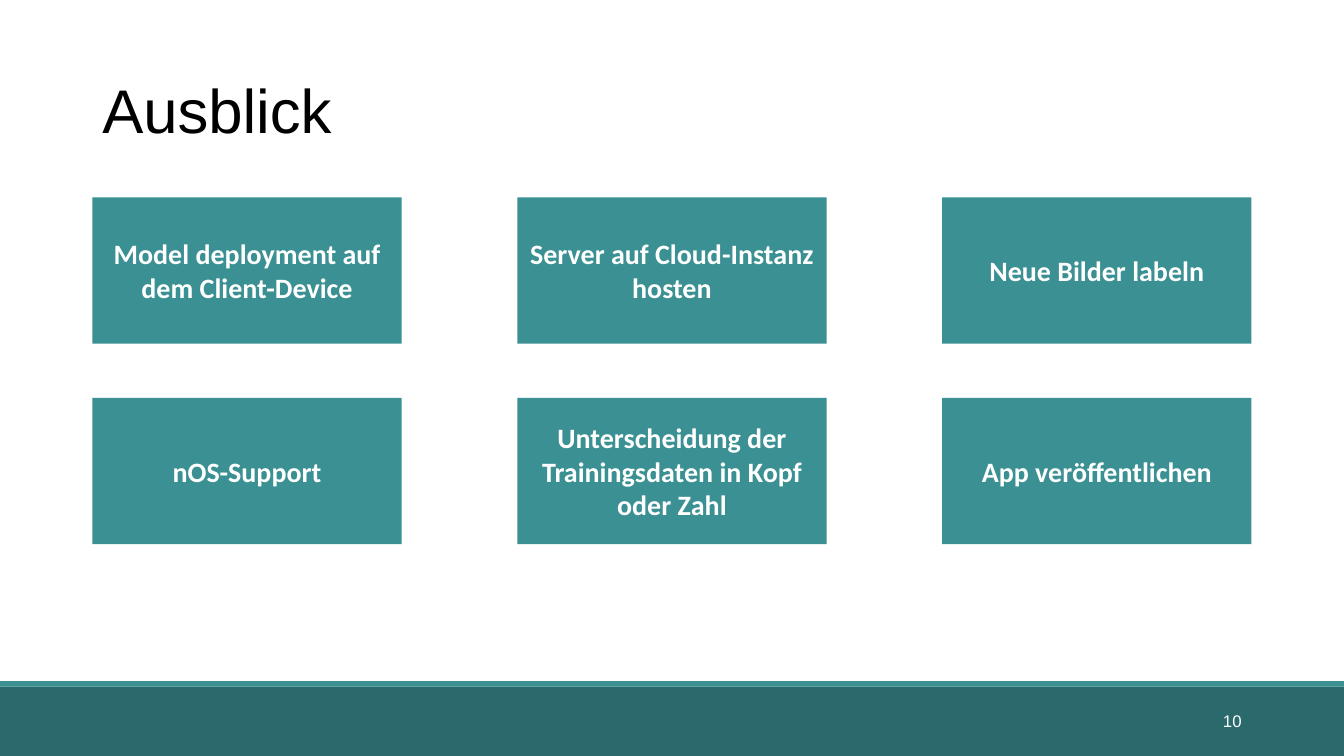
from pptx import Presentation
from pptx.dml.color import RGBColor
from pptx.enum.shapes import MSO_SHAPE
from pptx.enum.text import MSO_ANCHOR, PP_ALIGN
from pptx.util import Pt

WIDTH, HEIGHT = 960, 540
COLORS = {
    "teal": "3A9092",
    "dark_teal": "2B6A6C",
    "white": "FFFFFF",
    "black": "000000",
}


def write_text(shape, text, size, color, font="Arial", bold=False,
               align=PP_ALIGN.LEFT, line_spacing=None):
    frame = shape.text_frame
    frame.word_wrap = True
    frame.vertical_anchor = MSO_ANCHOR.MIDDLE
    paragraph = frame.paragraphs[0]
    paragraph.alignment = align
    if line_spacing:
        paragraph.line_spacing = line_spacing
    run = paragraph.add_run()
    run.text = text
    run.font.name = font
    run.font.size = Pt(size)
    run.font.bold = bold
    run.font.color.rgb = RGBColor.from_string(COLORS[color])


class SlideBuilder:
    """Holds the colours and the slide being built; lengths are in points."""

    def __init__(self, slide, colors):
        self.slide = slide
        self.colors = colors

    def box(self, left, top, width, height, color):
        shape = self.slide.shapes.add_shape(
            MSO_SHAPE.RECTANGLE, Pt(left), Pt(top), Pt(width), Pt(height))
        shape.shadow.inherit = False
        shape.fill.solid()
        shape.fill.fore_color.rgb = RGBColor.from_string(self.colors[color])
        shape.line.fill.background()
        return shape

    def label(self, left, top, width, height, text, **text_format):
        shape = self.slide.shapes.add_textbox(
            Pt(left), Pt(top), Pt(width), Pt(height))
        write_text(shape, text, **text_format)

    def card(self, left, top, width, height, text):
        shape = self.box(left, top, width, height, "teal")
        write_text(shape, text, size=20, color="white", font="Calibri",
                   bold=True, align=PP_ALIGN.CENTER)


def main():
    presentation = Presentation()
    presentation.slide_width = Pt(WIDTH)
    presentation.slide_height = Pt(HEIGHT)
    blank_layout = presentation.slide_layouts[6]
    builder = SlideBuilder(presentation.slides.add_slide(blank_layout), COLORS)

    # Footer band with its accent stripe
    builder.box(0, 490.5, WIDTH, 49.5, "dark_teal")
    builder.box(0, 486.5, WIDTH, 4, "teal")

    # Title and page number
    builder.label(66, 28.75, 828, 104.4, "Ausblick",
                  size=44, color="black", line_spacing=0.9)
    builder.label(678, 500.5, 216, 28.75, "10",
                  size=12, color="white", align=PP_ALIGN.RIGHT)

    # Grid of next steps
    next_steps = [
        ["Model deployment auf dem Client-Device",
         "Server auf Cloud-Instanz hosten",
         "Neue Bilder labeln"],
        ["nOS-Support",
         "Unterscheidung der Trainingsdaten in Kopf oder Zahl",
         "App veröffentlichen"],
    ]
    grid_left, grid_top = 66, 141
    card_width, card_height = 221, 104.4
    column_step, row_step = 303.5, 143.25
    for row, steps in enumerate(next_steps):
        for column, step in enumerate(steps):
            builder.card(grid_left + column * column_step,
                         grid_top + row * row_step,
                         card_width, card_height, step)

    presentation.save("out.pptx")


if __name__ == "__main__":
    main()
